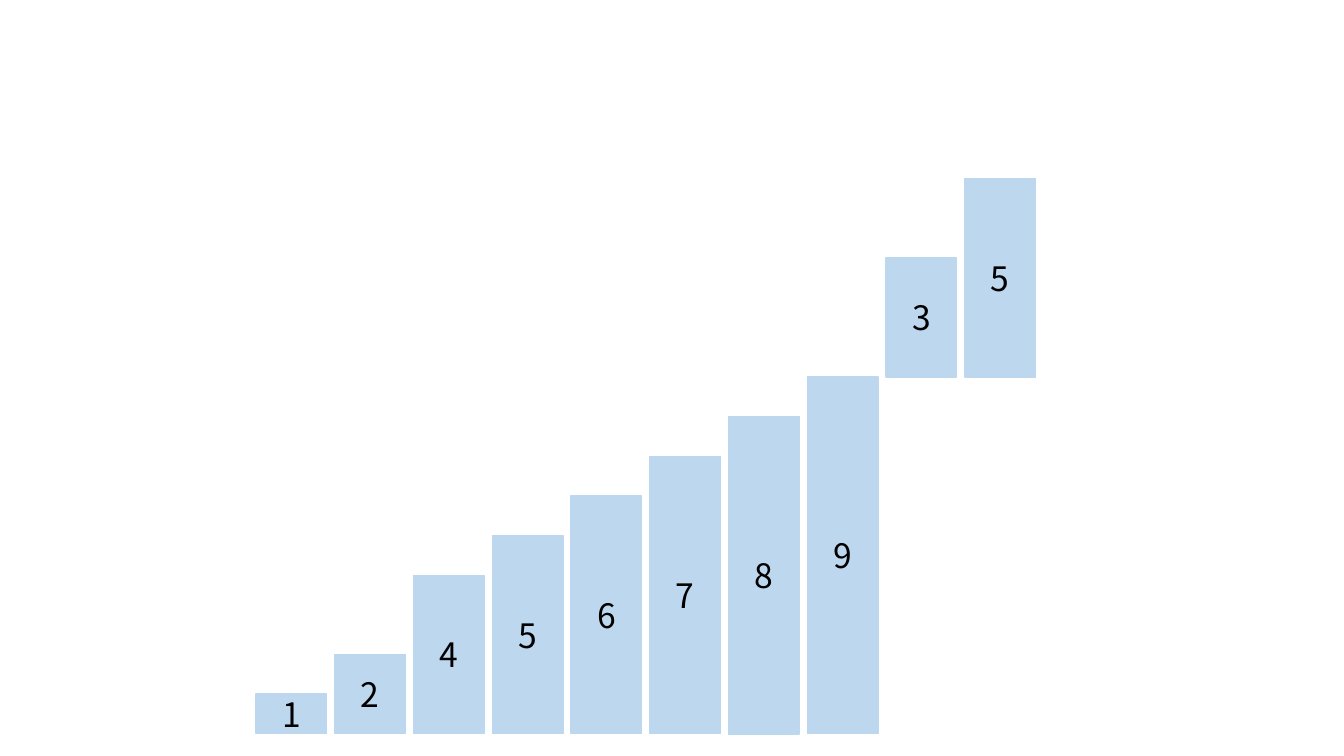
from dataclasses import dataclass

from pptx import Presentation
from pptx.dml.color import RGBColor
from pptx.enum.shapes import MSO_SHAPE
from pptx.enum.text import MSO_ANCHOR, PP_ALIGN
from pptx.util import Inches, Pt

RECTANGLE = MSO_SHAPE.RECTANGLE
MIDDLE = MSO_ANCHOR.MIDDLE
CENTER = PP_ALIGN.CENTER

SORTED_VALUES = [1, 2, 4, 5, 6, 7, 8, 9]
LIFTED_VALUES = [3, 5]
FIRST_LEFT, LAST_LEFT = 2.54, 9.57
BAR_WIDTH = 0.7
TALLEST_HEIGHT = 3.54
FLOOR = 7.28
LIFTED_FLOOR = FLOOR - TALLEST_HEIGHT
UNIT = TALLEST_HEIGHT / max(SORTED_VALUES)
PITCH = (LAST_LEFT - FIRST_LEFT) / (len(SORTED_VALUES + LIFTED_VALUES) - 1)


@dataclass(frozen=True)
class Theme:
    bar: RGBColor = RGBColor.from_string("BDD7EE")
    ink: RGBColor = RGBColor.from_string("000000")
    font: str = "Noto Sans CJK SC"
    label_size: int = 24
    outline: int = 1


def write(frame, text, *, font, size, color, align=CENTER, anchor=MIDDLE):
    frame.vertical_anchor = anchor
    paragraph = frame.paragraphs[0]
    paragraph.alignment = align
    run = paragraph.add_run()
    run.text = text
    run.font.name = font
    run.font.size = Pt(size)
    run.font.color.rgb = color


class BarSlide:
    """Draws value bars on one slide in a shared theme."""

    def __init__(self, slide, theme):
        self.slide = slide
        self.theme = theme

    def bar(self, column, value, floor):
        theme = self.theme
        height = value * UNIT
        bar = self.slide.shapes.add_shape(
            RECTANGLE, Inches(FIRST_LEFT + column * PITCH),
            Inches(floor - height), Inches(BAR_WIDTH), Inches(height))
        bar.shadow.inherit = False
        bar.fill.solid()
        bar.fill.fore_color.rgb = theme.bar
        bar.line.color.rgb = theme.bar
        bar.line.width = Pt(theme.outline)
        write(bar.text_frame, str(value), font=theme.font,
              size=theme.label_size, color=theme.ink)

    def bars(self, values, floor, first_column=0):
        for column, value in enumerate(values, first_column):
            self.bar(column, value, floor)


def main():
    deck = Presentation()
    deck.slide_width = Inches(13.33)
    deck.slide_height = Inches(7.5)
    sorting = BarSlide(deck.slides.add_slide(deck.slide_layouts[6]), Theme())
    sorting.bars(SORTED_VALUES, FLOOR)
    sorting.bars(LIFTED_VALUES, LIFTED_FLOOR, first_column=len(SORTED_VALUES))
    deck.save("out.pptx")


if __name__ == "__main__":
    main()
